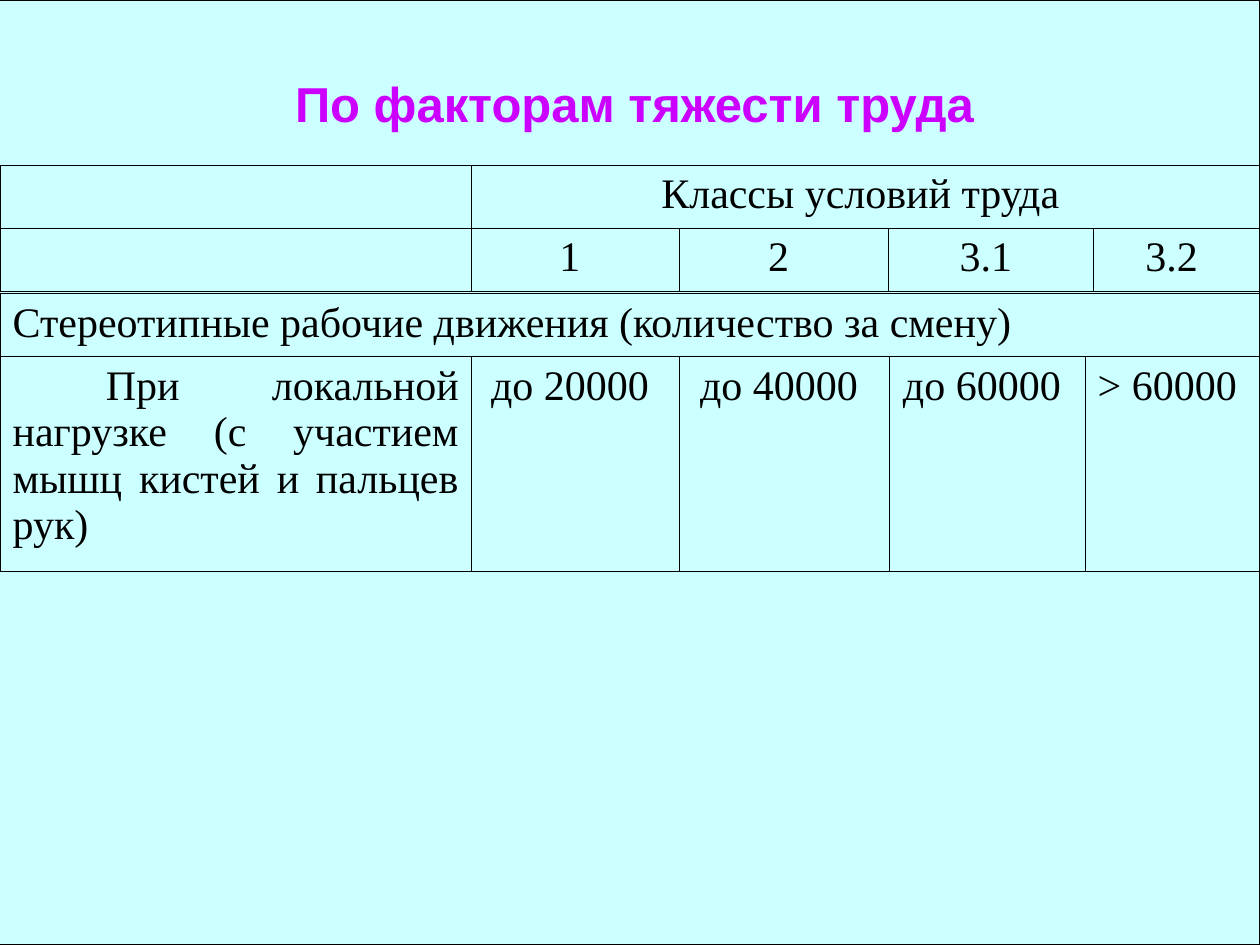
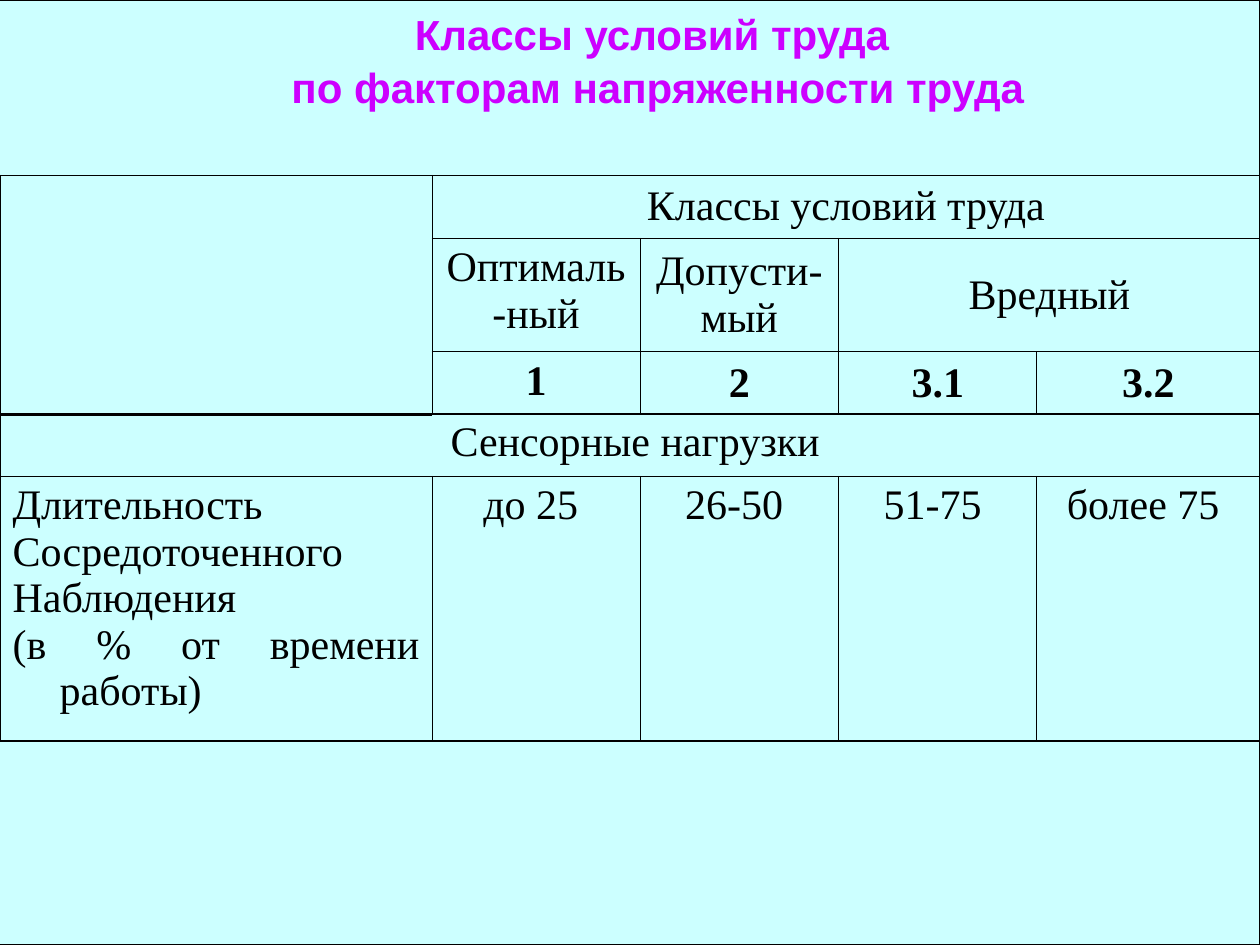
from lxml import etree
from pptx import Presentation
from pptx.dml.color import RGBColor
from pptx.enum.shapes import MSO_CONNECTOR, MSO_SHAPE
from pptx.enum.text import MSO_ANCHOR, PP_ALIGN
from pptx.oxml.ns import qn
from pptx.util import Cm, Pt

LEFT, CENTER, JUSTIFY = PP_ALIGN.LEFT, PP_ALIGN.CENTER, PP_ALIGN.JUSTIFY
TOP, MIDDLE = MSO_ANCHOR.TOP, MSO_ANCHOR.MIDDLE
RECTANGLE, STRAIGHT = MSO_SHAPE.RECTANGLE, MSO_CONNECTOR.STRAIGHT

COLORS = {"background": "CCFFFF", "title": "CC00FF", "ink": "000000"}
TITLE_FONT, TABLE_FONT = "Arial", "Times New Roman"
WIDTH, HEIGHT = 25.4, 19.05
ROW = 1.27
GRID_LINE, HEAVY_LINE = 0.45, 1.08


def write(frame, lines, font, size, color, align, bold=False):
    """Fill a text frame with equally formatted paragraphs."""
    frame.word_wrap = True
    frame.text = "\n".join(lines)
    for paragraph in frame.paragraphs:
        paragraph.alignment = align
        paragraph.font.name = font
        paragraph.font.size = Pt(size)
        paragraph.font.bold = bold
        paragraph.font.color.rgb = RGBColor.from_string(COLORS[color])


def add_grid(slide, top, columns, rows, merges, texts):
    """Add a ruled table; texts maps (row, column) to (lines, align, anchor, bold)."""
    table = slide.shapes.add_table(len(rows), len(columns), Cm(0), Cm(top),
                                   Cm(WIDTH), Cm(sum(rows))).table
    table.first_row = table.horz_banding = False
    for column, width in zip(table.columns, columns):
        column.width = Cm(width)
    for row, height in zip(table.rows, rows):
        row.height = Cm(height)
    for first, last in merges:
        table.cell(*first).merge(table.cell(*last))
    for cell in table.iter_cells():
        cell.fill.background()
        properties = cell._tc.get_or_add_tcPr()
        for position, side in enumerate(("lnL", "lnR", "lnT", "lnB")):
            border = etree.Element(qn(f"a:{side}"), w=str(Pt(GRID_LINE)))
            fill = etree.SubElement(border, qn("a:solidFill"))
            etree.SubElement(fill, qn("a:srgbClr"), val=COLORS["ink"])
            properties.insert(position, border)
    for place, (lines, align, anchor, bold) in texts.items():
        cell = table.cell(*place)
        cell.vertical_anchor = anchor
        write(cell.text_frame, lines, TABLE_FONT, 24, "ink", align, bold)
    return table


prs = Presentation()
prs.slide_width, prs.slide_height = Cm(WIDTH), Cm(HEIGHT)

# Shared background and titles
titles = [
    (["По факторам тяжести труда"], 28, MIDDLE, (5.69, 0.76, 14.2, 2.64)),
    (["Классы условий труда", " по факторам напряженности труда"], 24, TOP,
     (0.89, 0, 24.51, 3.3)),
]
slides = []
for lines, size, anchor, box in titles:
    slide = prs.slides.add_slide(prs.slide_layouts[6])
    background = slide.shapes.add_shape(RECTANGLE, Cm(-0.5), Cm(0),
                                        Cm(WIDTH + 0.5), Cm(HEIGHT))
    background.shadow.inherit = False
    background.fill.solid()
    background.fill.fore_color.rgb = RGBColor.from_string(COLORS["background"])
    background.line.color.rgb = RGBColor.from_string(COLORS["ink"])
    background.line.width = Pt(0.75)
    title = slide.shapes.add_textbox(*map(Cm, box)).text_frame
    title.vertical_anchor = anchor
    write(title, lines, TITLE_FONT, size, "title", CENTER, True)
    for paragraph in title.paragraphs:
        paragraph.line_spacing = 1.05 if len(lines) > 1 else 1.0
    slides.append(slide)
heaviness, intensity = slides

# Slide 1: heaviness of work
header = {(0, 1): (["Классы условий труда "], CENTER, TOP, False)}
for column, grade in enumerate(["1 ", "2 ", "3.1 ", "3.2 "], 1):
    header[1, column] = ([grade], CENTER, TOP, False)
add_grid(heaviness, 3.33, [9.5, 4.19, 4.22, 4.14, 3.35], [ROW, ROW],
         [((0, 1), (0, 4))], header)

movements = {
    (0, 0): (["Стереотипные рабочие движения (количество за смену)"], LEFT, TOP, False),
    (1, 0): (["При локальной нагрузке (с участием мышц кистей и пальцев рук)"],
             JUSTIFY, TOP, False),
}
for column, limit in enumerate(["до 20000 ", "до 40000 ", "до 60000 ", "> 60000 "], 1):
    movements[1, column] = ([limit], CENTER, TOP, False)
movement_table = add_grid(heaviness, 5.92, [9.5, 4.19, 4.24, 3.94, 3.53],
                          [ROW, 4.32], [((0, 0), (0, 4))], movements)
local_load = movement_table.cell(1, 0).text_frame.paragraphs[0]
local_load._p.get_or_add_pPr().set("indent", str(Cm(1.88)))

# Slide 2: intensity of work
columns = [8.71, 4.19, 4.01, 3.99, 4.5]
loads = {
    (0, 0): ([" Сенсорные нагрузки"], CENTER, TOP, False),
    (1, 0): (["Длительность", "Сосредоточенного", "Наблюдения",
              "(в % от времени работы)"], JUSTIFY, TOP, False),
}
for column, share in enumerate(["до 25 ", "26-50 ", "51-75 ", "более 75 "], 1):
    loads[1, column] = ([share], CENTER, TOP, False)
load_table = add_grid(intensity, 8.33, columns, [ROW, 5.33], [((0, 0), (0, 4))], loads)
for paragraph in load_table.cell(1, 0).text_frame.paragraphs:
    hanging = paragraph._p.get_or_add_pPr()
    hanging.set("marL", str(Cm(0.95)))
    hanging.set("indent", str(Cm(-0.95)))

classes = {
    (0, 1): (["Классы условий труда"], CENTER, MIDDLE, False),
    (1, 1): (["Оптималь-ный"], CENTER, TOP, False),
    (1, 2): (["Допусти-мый"], CENTER, MIDDLE, False),
    (1, 3): (["Вредный"], CENTER, MIDDLE, False),
}
for column, grade in enumerate(["1", "2", "3.1", "3.2"], 1):
    classes[2, column] = ([grade], CENTER, TOP if column == 1 else MIDDLE, True)
class_table = add_grid(intensity, 3.53, columns, [ROW, 2.29, ROW],
                       [((0, 0), (2, 0)), ((0, 1), (0, 4)), ((1, 3), (1, 4))], classes)
for row in range(3):
    bottom = class_table.cell(row, 0)._tc.tcPr.find(qn("a:lnB"))
    bottom.set("w", str(Pt(HEAVY_LINE)))

closing_rule = intensity.shapes.add_connector(STRAIGHT, Cm(0), Cm(14.94),
                                              Cm(WIDTH), Cm(14.94))
closing_rule.line.color.rgb = RGBColor.from_string(COLORS["ink"])
closing_rule.line.width = Pt(0.75)
etree.SubElement(closing_rule._element.spPr, qn("a:effectLst"))

prs.save("out.pptx")
